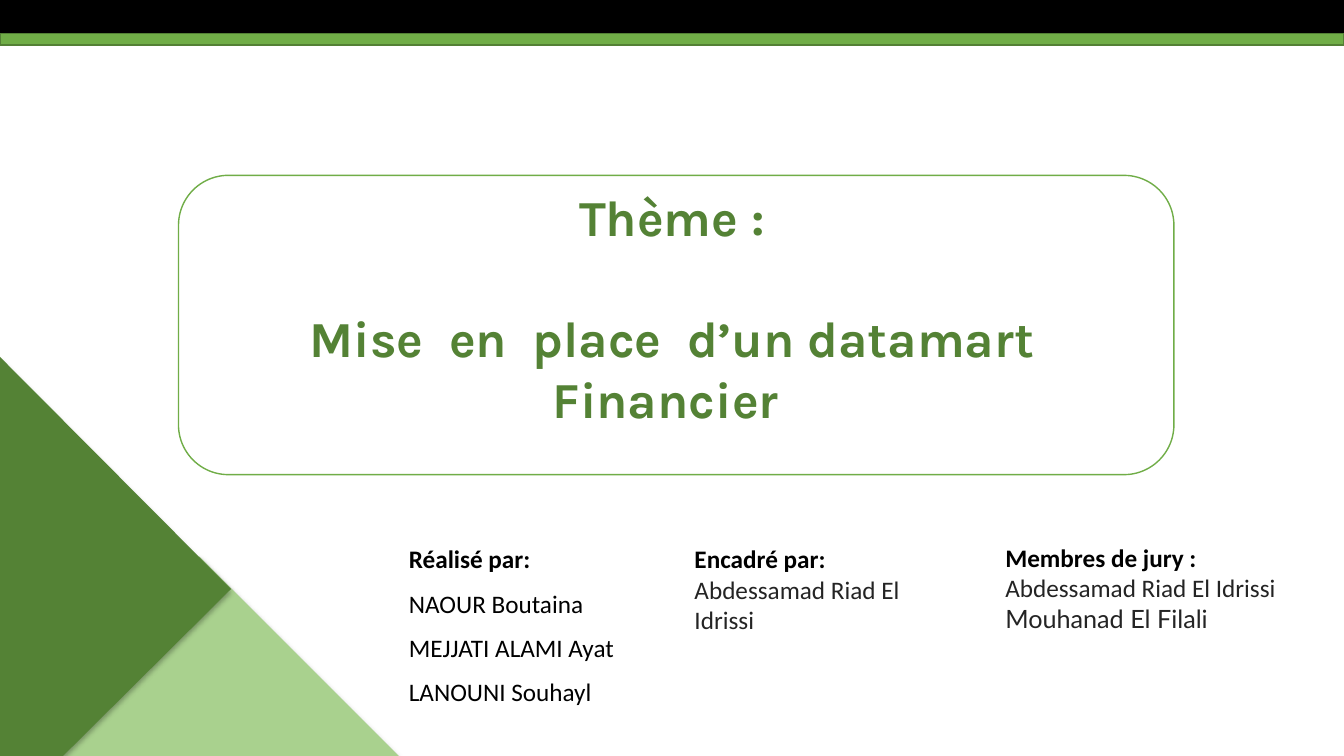
from lxml.etree import SubElement
from pptx import Presentation
from pptx.dml.color import RGBColor
from pptx.enum.shapes import MSO_SHAPE
from pptx.enum.text import MSO_AUTO_SIZE, PP_ALIGN
from pptx.oxml.ns import qn
from pptx.util import Pt

PX = 9525  # EMU in one px, 96 px to the inch
WIDE, HIGH = 1280, 720

COLORS = {
    "black": "000000",
    "white": "FFFFFF",
    "ink": "242424",
    "green": "70AD47",
    "edge": "538035",
    "dark": "548235",
    "light": "A9D18E",
}


class Deck:
    """Holds the style and the current slide."""

    def __init__(self):
        self.prs = Presentation()
        self.prs.slide_width = WIDE * PX
        self.prs.slide_height = HIGH * PX
        self.slide = self.prs.slides.add_slide(self.prs.slide_layouts[6])

    def color(self, name):
        return RGBColor.from_string(COLORS[name])

    def paint(self, shape, fill, line=None):
        shape.shadow.inherit = False
        shape.fill.solid()
        shape.fill.fore_color.rgb = self.color(fill)
        if line:
            shape.line.color.rgb = self.color(line)
            shape.line.width = Pt(1)
        else:
            shape.line.fill.background()

    def box(self, kind, at, fill, line):
        shape = self.slide.shapes.add_shape(kind, *[n * PX for n in at])
        self.paint(shape, fill, line)

    def facet(self, points, fill):
        pen = self.slide.shapes.build_freeform(*points[0], scale=PX)
        pen.add_line_segments(points[1:], close=True)
        shape = pen.convert_to_shape()
        self.paint(shape, fill)
        # Soft shadow below the outline
        effects = shape.element.spPr.find(qn("a:effectLst"))
        shade = SubElement(effects, qn("a:outerShdw"), blurRad=str(Pt(4)),
                           dist=str(Pt(2)), dir="5400000", rotWithShape="0")
        tone = SubElement(shade, qn("a:srgbClr"), val=COLORS["black"])
        SubElement(tone, qn("a:alpha"), val="30000")

    def text(self, at, lines, size=18, align=PP_ALIGN.LEFT, gap=0, wrap=True):
        """Each line is (text, font, colour, bold)."""
        frame = self.slide.shapes.add_textbox(*[n * PX for n in at]).text_frame
        frame.word_wrap = wrap
        frame.auto_size = MSO_AUTO_SIZE.SHAPE_TO_FIT_TEXT
        frame.text = "\n".join(line[0] for line in lines)
        for para, (_, face, tint, bold) in zip(frame.paragraphs, lines):
            para.alignment = align
            para.space_before = Pt(gap)
            font = para.runs[0].font
            font.name, font.size, font.bold = face, Pt(size), bold
            font.color.rgb = self.color(tint)


def head(text):
    return text, "Calibri", "black", True


def main():
    deck = Deck()

    # People
    team = ["NAOUR Boutaina", "MEJJATI ALAMI Ayat", "LANOUNI Souhayl"]
    tutor = ("Abdessamad Riad El Idrissi", "Calibri", "ink", False)
    judge = ("Mouhanad El Filali", "Lato", "ink", False)
    deck.text((380, 513, 254, 178), [head("Réalisé par:")]
              + [(name, "Calibri", "black", False) for name in team], gap=10)
    deck.text((652, 513, 240, 97), [head("Encadré par:"), tutor])
    deck.text((948, 512, 279, 97),
              [head("Membres de jury :"), tutor, judge], wrap=False)

    # Top bands
    deck.box(MSO_SHAPE.RECTANGLE, (0, -1, WIDE, 32), "black", "black")
    deck.box(MSO_SHAPE.RECTANGLE, (0, 32, WIDE, 11), "green", "edge")

    # Theme panel
    deck.box(MSO_SHAPE.ROUNDED_RECTANGLE, (170, 167, 948, 285),
             "white", "green")
    deck.text((225, 173, 830, 240),
              [(line, "Karla", "dark", True) for line in
               ("Thème :", "Mise  en  place  d’un datamart Financier ")],
              size=36, align=PP_ALIGN.CENTER, gap=43)

    # Corner facets
    deck.facet([(190, 530), (380, 720), (1, 720)], "light")
    deck.facet([(0, 340), (220, 561), (60, 720), (0, 720)], "dark")

    deck.prs.save("out.pptx")


if __name__ == "__main__":
    main()
